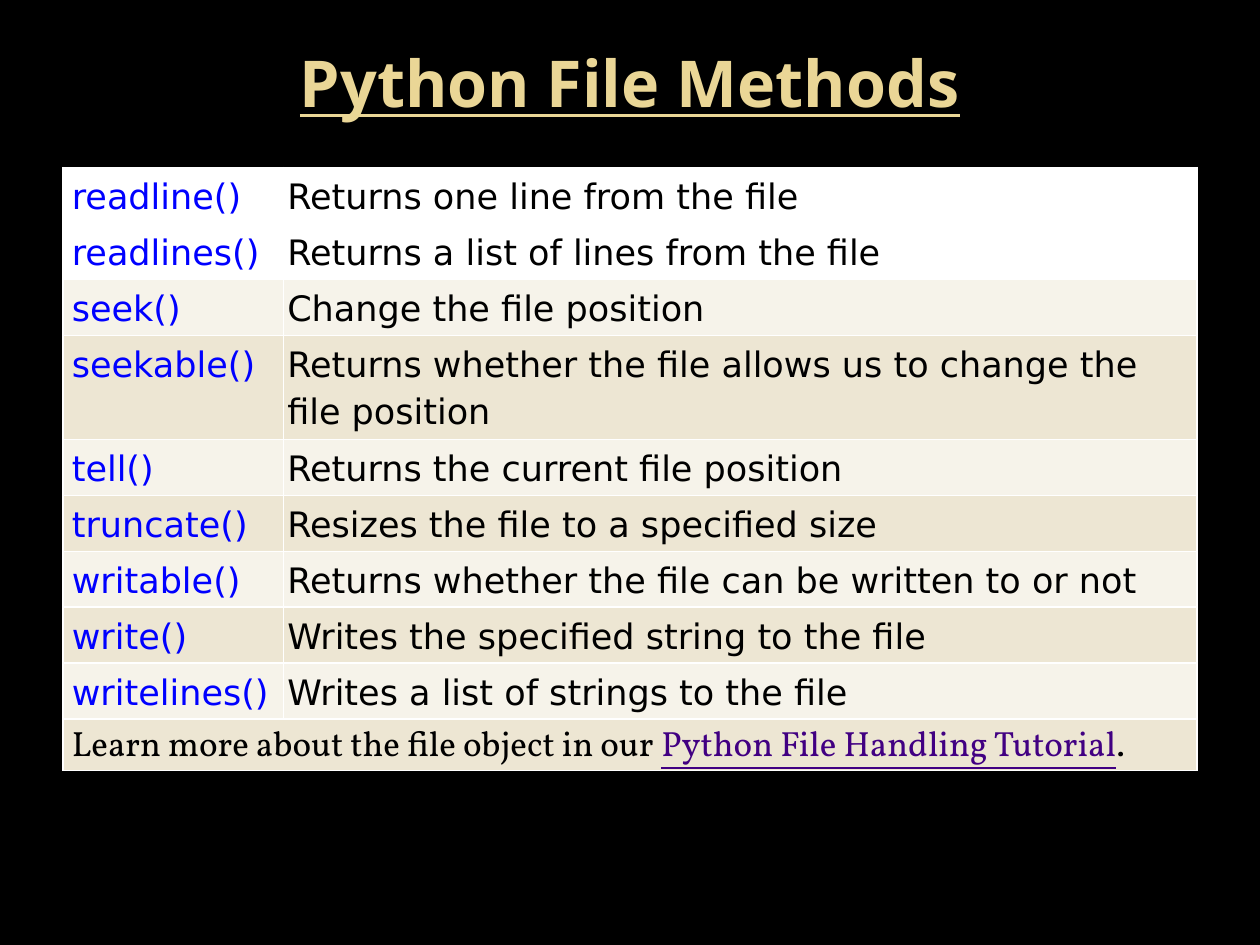
from lxml import etree
from pptx import Presentation
from pptx.dml.color import RGBColor
from pptx.enum import text
from pptx.oxml import ns
from pptx.util import Inches, Pt

BLACK = RGBColor(0x00, 0x00, 0x00)
WHITE = RGBColor(0xFF, 0xFF, 0xFF)
GOLD = RGBColor(0xEA, 0xD6, 0x96)
BLUE = RGBColor(0x00, 0x00, 0xFF)
PURPLE = RGBColor(0x41, 0x00, 0x82)
CREAM = RGBColor(0xF6, 0xF3, 0xEA)
SAND = RGBColor(0xED, 0xE6, 0xD3)

TITLE = "Python File Methods"
METHODS = [
    ("readline()", "Returns one line from the file"),
    ("readlines()", "Returns a list of lines from the file"),
    ("seek()", "Change the file position"),
    ("seekable()", "Returns whether the file allows us to change the file position"),
    ("tell()", "Returns the current file position"),
    ("truncate()", "Resizes the file to a specified size"),
    ("writable()", "Returns whether the file can be written to or not"),
    ("write()", "Writes the specified string to the file"),
    ("writelines()", "Writes a list of strings to the file"),
]
FOOTNOTE = [
    ("Learn more about the file object in our ", BLACK, False),
    ("Python File Handling Tutorial", PURPLE, True),
    (".", BLACK, False),
]
COLUMN_WIDTHS = (1.75, 7.25)
ROW_HEIGHT = 0.41
PLAIN_ROWS = 2
LEFT_INSETS = (0.07, 0.03)
INSET = 0.03


def add_borders(cell, bottom_width):
    properties = cell._tc.get_or_add_tcPr()
    for side, width in (("L", 1), ("R", 1), ("T", 1), ("B", bottom_width)):
        line = etree.SubElement(properties, ns.qn(f"a:ln{side}"), w=str(Pt(width)))
        fill = etree.SubElement(line, ns.qn("a:solidFill"))
        etree.SubElement(fill, ns.qn("a:srgbClr"), val=str(WHITE))


def row_color(row):
    if row < PLAIN_ROWS:
        return WHITE
    return SAND if row % 2 else CREAM


def style_cell(cell, row, column):
    cell.margin_left = Inches(LEFT_INSETS[column])
    cell.margin_right = cell.margin_top = cell.margin_bottom = Inches(INSET)
    add_borders(cell, bottom_width=3 if row == 0 else 1)
    cell.fill.solid()
    cell.fill.fore_color.rgb = row_color(row)


def add_title(slide):
    title = slide.shapes.add_textbox(Inches(0.5), Inches(0.3), Inches(9), Inches(0.7))
    frame = title.text_frame
    frame.word_wrap = True
    frame.vertical_anchor = text.MSO_ANCHOR.MIDDLE
    heading = frame.paragraphs[0]
    heading.text = TITLE
    heading.alignment = text.PP_ALIGN.CENTER
    heading.font.name = "Noto Sans"
    heading.font.size = Pt(36.9)
    heading.font.bold = heading.font.underline = True
    heading.font.color.rgb = GOLD


def add_methods_table(slide):
    row_count = len(METHODS) + 1
    table = slide.shapes.add_table(
        row_count, len(COLUMN_WIDTHS), Inches(0.5), Inches(1.33),
        Inches(sum(COLUMN_WIDTHS)), Inches(ROW_HEIGHT * row_count)).table
    for column, width in zip(table.columns, COLUMN_WIDTHS):
        column.width = Inches(width)
    for r, row in enumerate(table.rows):
        row.height = Inches(ROW_HEIGHT)
        for c, cell in enumerate(row.cells):
            style_cell(cell, r, c)

    for r, entry in enumerate(METHODS):
        for c, (wording, color) in enumerate(zip(entry, (BLUE, BLACK))):
            paragraph = table.cell(r, c).text_frame.paragraphs[0]
            paragraph.text = wording
            paragraph.line_spacing = 1.15
            paragraph.font.name = "DejaVu Sans"
            paragraph.font.size = Pt(20)
            paragraph.font.color.rgb = color

    last = row_count - 1
    table.cell(last, 0).merge(table.cell(last, 1))
    footnote = table.cell(last, 0).text_frame.paragraphs[0]
    footnote.font.name = "Vollkorn"
    footnote.font.size = Pt(20)
    for wording, color, underlined in FOOTNOTE:
        run = footnote.add_run()
        run.text = wording
        run.font.color.rgb = color
        run.font.underline = underlined


def main():
    deck = Presentation()
    deck.slide_width, deck.slide_height = Inches(10), Inches(7.5)
    slide = deck.slides.add_slide(deck.slide_layouts[6])
    slide.background.fill.solid()
    slide.background.fill.fore_color.rgb = BLACK
    add_title(slide)
    add_methods_table(slide)
    deck.save("out.pptx")


if __name__ == "__main__":
    main()
